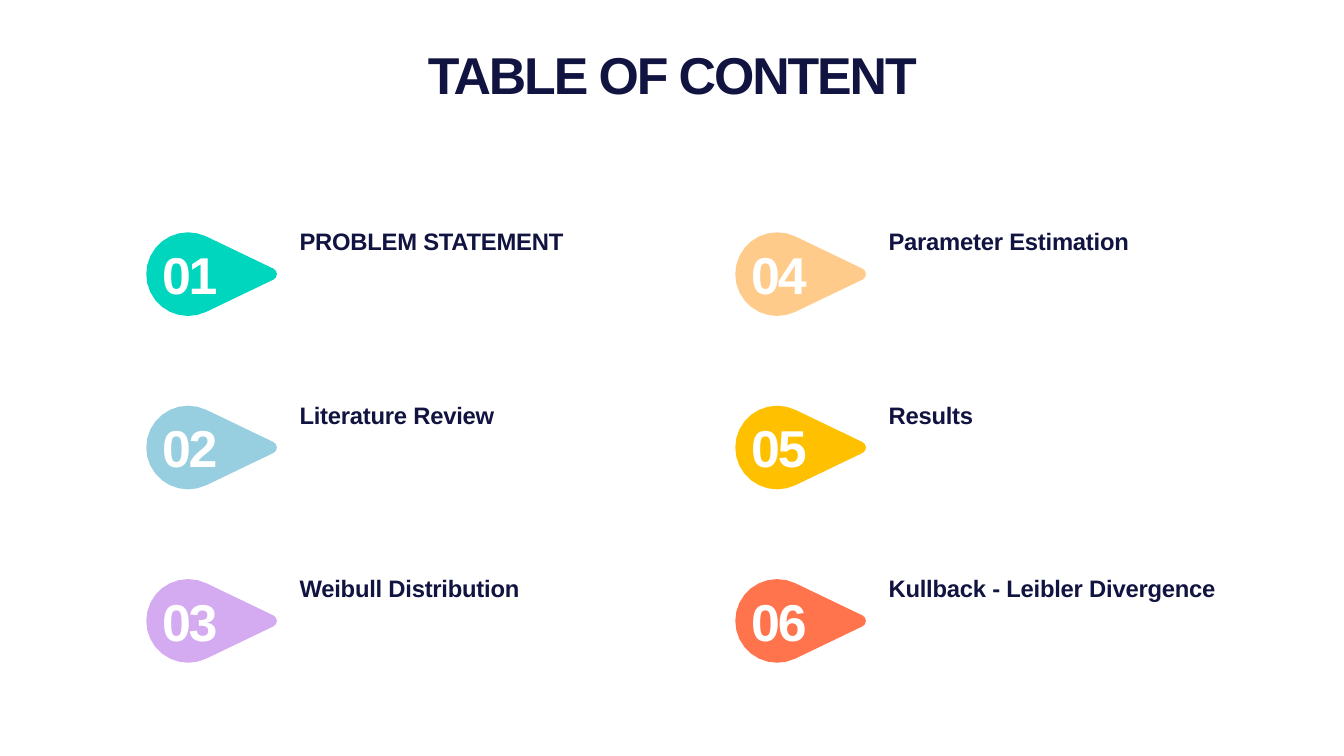
from math import acos, cos, pi, sin

from pptx import Presentation
from pptx.dml.color import RGBColor
from pptx.enum.text import MSO_ANCHOR, MSO_AUTO_SIZE, PP_ALIGN
from pptx.util import Inches, Pt

NAVY = RGBColor(0x11, 0x13, 0x40)
WHITE = RGBColor(0xFF, 0xFF, 0xFF)
TEAL = RGBColor(0x00, 0xD6, 0xBE)
BLUE = RGBColor(0x97, 0xCE, 0xE0)
LILAC = RGBColor(0xD4, 0xAA, 0xF1)
PEACH = RGBColor(0xFF, 0xCB, 0x8A)
AMBER = RGBColor(0xFF, 0xC0, 0x00)
CORAL = RGBColor(0xFF, 0x73, 0x4D)

TOPICS = [
    ("PROBLEM STATEMENT", TEAL),
    ("Literature Review", BLUE),
    ("Weibull Distribution", LILAC),
    ("Parameter Estimation", PEACH),
    ("Results", AMBER),
    ("Kullback - Leibler Divergence", CORAL),
]
ROWS = 3
COL_STEP, ROW_STEP = 11.68, 3.44
HEAD_R, TIP_R, DROP_W = 0.83, 0.12, 2.59


def set_text(sp, text, size, line, color, align, spacing):
    """Fill sp with one bold line; spacing is in hundredths of a point."""
    tf = sp.text_frame
    tf.word_wrap = True
    tf.auto_size = MSO_AUTO_SIZE.SHAPE_TO_FIT_TEXT
    tf.vertical_anchor = MSO_ANCHOR.BOTTOM
    tf.margin_left = tf.margin_right = Inches(0.05)
    tf.margin_top = tf.margin_bottom = Inches(0.05)
    p = tf.paragraphs[0]
    p.alignment = align
    p.line_spacing = Pt(line)
    p.space_before = Pt(0)
    p.font.name = "Arial"
    p.font.size = Pt(size)
    p.font.bold = True
    p.font.color.rgb = color
    r = p.add_run()
    r.text = text
    r._r.get_or_add_rPr().set("spc", str(spacing))


def drop_points(x, y):
    """Outline of a drop pointing right: two arcs joined by their tangents."""
    tip_x = DROP_W - TIP_R
    tangent = acos((HEAD_R - TIP_R) / (tip_x - HEAD_R))
    arcs = [
        (HEAD_R, HEAD_R, tangent, 2 * pi - tangent, 18),
        (tip_x, TIP_R, -tangent, tangent, 4),
    ]
    return [
        (Inches(x + cx + radius * cos(a)), Inches(y + HEAD_R + radius * sin(a)))
        for cx, radius, start, end, steps in arcs
        for a in (start + (end - start) * i / steps for i in range(steps + 1))
    ]


prs = Presentation()
prs.slide_width, prs.slide_height = Inches(26.65), Inches(15)
s = prs.slides.add_slide(prs.slide_layouts[5])

title = s.shapes.title
title.left, title.top = Inches(7.57), Inches(0.75)
title.width, title.height = Inches(11.52), Inches(1.38)
set_text(title, "TABLE OF CONTENT", 74, 94, NAVY, PP_ALIGN.CENTER, -300)

for i, (topic, color) in enumerate(TOPICS):
    col, row = divmod(i, ROWS)
    dx, dy = col * COL_STEP, row * ROW_STEP

    points = drop_points(2.9 + dx, 4.61 + dy)
    builder = s.shapes.build_freeform(*points[0])
    builder.add_line_segments(points[1:], close=True)
    drop = builder.convert_to_shape()
    drop.shadow.inherit = False
    drop.fill.solid()
    drop.fill.fore_color.rgb = color
    drop.line.fill.background()

    label = s.shapes.add_textbox(
        Inches(5.89 + dx), Inches(4.52 + dy), Inches(6.67), Inches(0.6))
    set_text(label, topic, 34, 35, NAVY, PP_ALIGN.LEFT, -30)

    number = s.shapes.add_textbox(
        Inches(2.89 + dx), Inches(4.72 + dy), Inches(1.75), Inches(1.38))
    set_text(number, f"{i + 1:02}", 74, 94, WHITE, PP_ALIGN.CENTER, -330)

prs.save("out.pptx")
